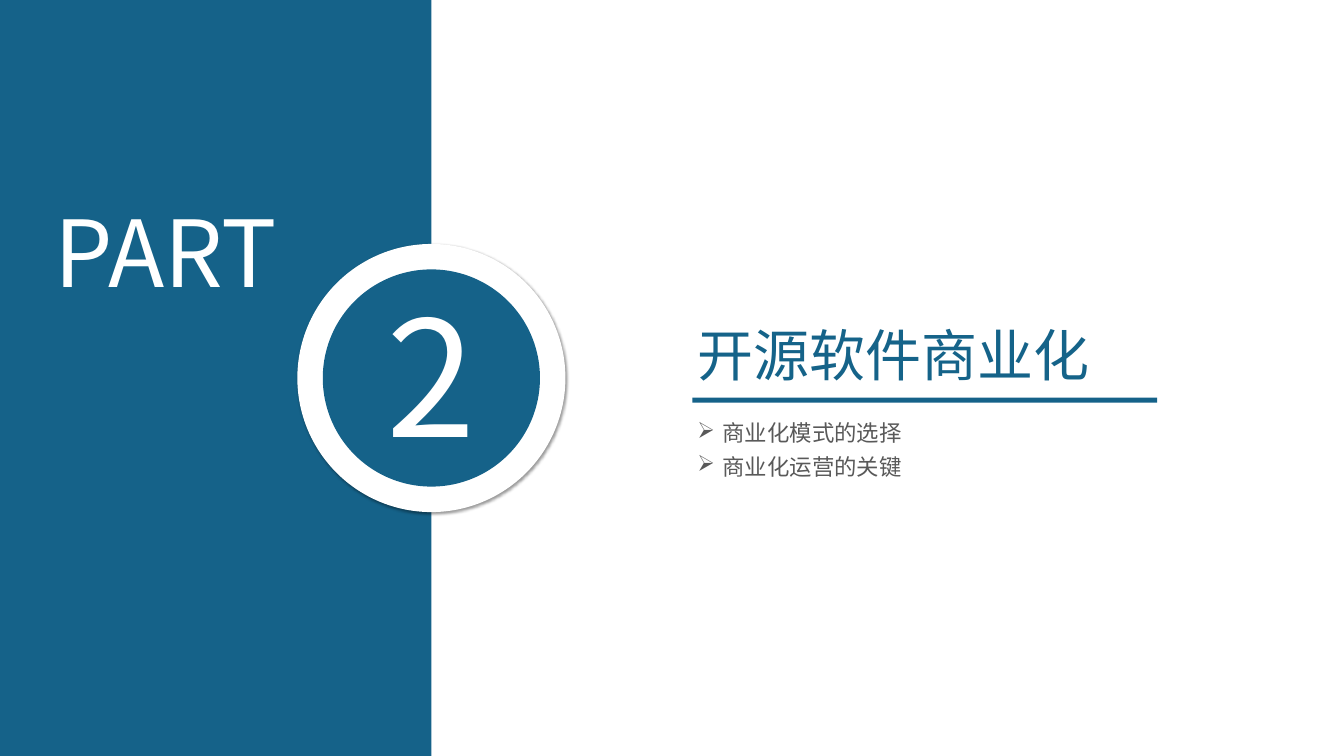
from dataclasses import dataclass

import lxml.etree
import pptx
import pptx.dml.color
import pptx.enum.shapes
import pptx.enum.text
import pptx.oxml
import pptx.oxml.ns
import pptx.util

WIDE, HIGH = 26.67, 15
BLUE, INK, WHITE, GREY = "156289", "156389", "FFFFFF", "595959"
SANS, HEAD, BODY = "Noto Sans CJK SC", "Roboto", "Noto Sans CJK JP"
LEFT, SPAN = 13.74, 9.22  # right-hand column

KIND = pptx.enum.shapes.MSO_SHAPE
ALIGN = pptx.enum.text.PP_ALIGN
MID = pptx.enum.text.MSO_ANCHOR.MIDDLE
inch = pptx.util.Inches


@dataclass
class Box:
    x: float
    y: float
    w: float
    h: float

    def place(self) -> list:
        return [inch(v) for v in (self.x, self.y, self.w, self.h)]


@dataclass
class Style:
    size: float
    font: str
    hue: str
    align: ALIGN = ALIGN.LEFT


def colour(hue: str):
    return pptx.dml.color.RGBColor.from_string(hue)


def draw(host, kind, box: Box, hue: str):
    """Add a plain filled shape to a slide or group."""
    shape = host.shapes.add_shape(kind, *box.place())
    shape.shadow.inherit = False
    shape.fill.solid()
    shape.fill.fore_color.rgb = colour(hue)
    shape.line.fill.background()
    return shape


def write(para, text: str, style: Style) -> None:
    para.alignment = style.align
    run = para.add_run()
    run.text = text
    run.font.size = pptx.util.Pt(style.size)
    run.font.name = style.font
    run.font.color.rgb = colour(style.hue)
    east = lxml.etree.SubElement(run.font._element, pptx.oxml.ns.qn("a:ea"))
    east.set("typeface", style.font)


def label(slide, box: Box, wrap: bool = True):
    frame = slide.shapes.add_textbox(*box.place()).text_frame
    frame.word_wrap = wrap
    return frame


def shade(shape) -> None:
    """Cast a soft shadow to the lower right."""
    space = pptx.oxml.ns.nsdecls("a")
    cast = pptx.oxml.parse_xml(
        f'<a:outerShdw {space} blurRad="50800" dist="38100" dir="2700000" algn="tl">'
        '<a:srgbClr val="000000"><a:alpha val="40000"/></a:srgbClr></a:outerShdw>')
    shape._element.spPr.find(pptx.oxml.ns.qn("a:effectLst")).append(cast)


def bullet(para, text: str, style: Style) -> None:
    props = para._p.get_or_add_pPr()
    props.set("marL", str(inch(0.5)))
    props.set("indent", str(inch(-0.5)))
    mark = lxml.etree.SubElement(props, pptx.oxml.ns.qn("a:buChar"))
    mark.set("char", "➢")
    para.line_spacing = 1.26
    write(para, text, style)


def ring(host, mid: tuple, size: float, hue: str):
    x, y = mid
    return draw(host, KIND.OVAL, Box(x - size / 2, y - size / 2, size, size), hue)


def main() -> None:
    deck = pptx.Presentation()
    deck.slide_width, deck.slide_height = inch(WIDE), inch(HIGH)
    slide = deck.slides.add_slide(deck.slide_layouts[6])

    # Side panel, with the badge centred on its edge
    edge = 8.56
    draw(slide, KIND.RECTANGLE, Box(0, 0, edge, HIGH), BLUE)
    badge = slide.shapes.add_group_shape()
    mid = (edge, HIGH / 2)
    shade(ring(badge, mid, 5.32, WHITE))
    frame = ring(badge, mid, 4.31, BLUE).text_frame
    frame.word_wrap = False
    frame.vertical_anchor = MID
    frame.margin_bottom = inch(0.25)
    write(frame.paragraphs[0], "2", Style(230, SANS, WHITE, ALIGN.CENTER))

    # Part label
    frame = label(slide, Box(0.99, 3.88, 4.91, 2.32), wrap=False)
    frame.vertical_anchor = MID
    frame.margin_left, frame.margin_right = 0, inch(0.3)
    frame.margin_bottom = inch(0.19)
    write(frame.paragraphs[0], "PART", Style(132, SANS, WHITE, ALIGN.CENTER))

    # Title and rule
    frame = label(slide, Box(LEFT, 6.31, SPAN, 1.45))
    frame.vertical_anchor = MID
    write(frame.paragraphs[0], "开源软件商业化", Style(80, HEAD, INK, ALIGN.JUSTIFY))
    draw(slide, KIND.RECTANGLE, Box(LEFT, 7.89, SPAN, 0.1), BLUE)

    # Topics
    frame = label(slide, Box(LEFT, 8.13, 5.73, 1.65))
    for i, text in enumerate(("商业化模式的选择", "商业化运营的关键")):
        para = frame.add_paragraph() if i else frame.paragraphs[0]
        bullet(para, text, Style(32, BODY, GREY))

    deck.save("out.pptx")


if __name__ == "__main__":
    main()
